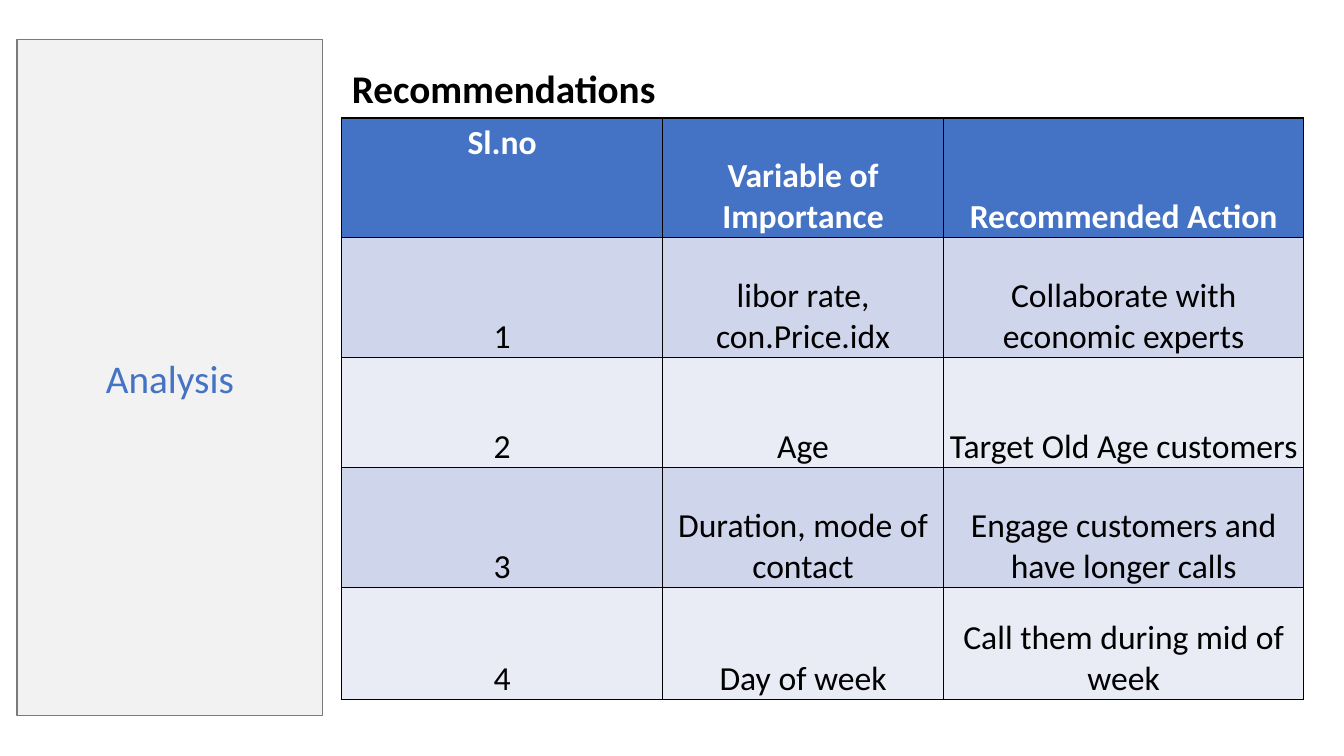
from lxml.etree import SubElement
from pptx import Presentation
from pptx.dml.color import RGBColor
from pptx.enum.shapes import MSO_SHAPE
from pptx.enum.text import MSO_ANCHOR, MSO_AUTO_SIZE, PP_ALIGN
from pptx.oxml.ns import qn
from pptx.util import Inches, Pt

COLORS = {
    "black": "000000",
    "white": "FFFFFF",
    "blue": "4472C4",
    "panel": "F2F2F2",
    "outline": "7A7A7A",
    "odd_row": "CFD5EA",
    "even_row": "E9EBF5",
}

RECOMMENDATIONS = [
    ["Sl.no", "Variable of Importance", "Recommended Action"],
    ["1", "libor rate, con.Price.idx", "Collaborate with economic experts"],
    ["2", "Age", "Target Old Age customers"],
    ["3", "Duration, mode of contact", "Engage customers and have longer calls"],
    ["4", "Day of week", "Call them during mid of week"],
]
COLUMN_WIDTHS = [3.18, 2.79, 3.57]
ROW_HEIGHTS = [1.19, 1.19, 1.09, 1.19, 1.11]


def color(name):
    return RGBColor.from_string(COLORS[name])


def assign(target, values):
    for name, value in values.items():
        setattr(target, name, value)


class SlideBuilder:
    font = "Calibri"
    heading_size = 28
    table_size = 24

    def __init__(self, deck):
        self.page = deck.slides.add_slide(deck.slide_layouts[5])

    def add_text(self, frame, text, size, ink, bold=False, align=PP_ALIGN.CENTER):
        para = frame.paragraphs[0]
        para.alignment = align
        span = para.add_run()
        span.text = text
        assign(span.font, {"name": self.font, "size": Pt(size), "bold": bold})
        span.font.color.rgb = color(ink)
        return para

    def title(self, text, left, top, width, height):
        box = self.page.shapes.title
        assign(box, {"left": Inches(left), "top": Inches(top),
                     "width": Inches(width), "height": Inches(height)})
        assign(box.text_frame, {"vertical_anchor": MSO_ANCHOR.MIDDLE,
                                "auto_size": MSO_AUTO_SIZE.NONE,
                                "word_wrap": True})
        para = self.add_text(box.text_frame, text, self.heading_size, "black",
                             True, PP_ALIGN.LEFT)
        para.line_spacing = 0.9

    def panel(self, text, left, top, width, height):
        box = self.page.shapes.add_shape(
            MSO_SHAPE.RECTANGLE, Inches(left), Inches(top),
            Inches(width), Inches(height))
        box.shadow.inherit = False
        box.fill.solid()
        box.fill.fore_color.rgb = color("panel")
        box.line.color.rgb = color("outline")
        box.line.width = Pt(1)
        assign(box.text_frame, {"vertical_anchor": MSO_ANCHOR.MIDDLE,
                                "word_wrap": True})
        self.add_text(box.text_frame, text, self.heading_size, "blue")

    def borders(self, cell):
        properties = cell._tc.get_or_add_tcPr()
        for position, side in enumerate(("lnL", "lnR", "lnT", "lnB")):
            line = SubElement(properties, qn(f"a:{side}"), w=str(Pt(1)))
            fill = SubElement(line, qn("a:solidFill"))
            SubElement(fill, qn("a:srgbClr"), val=COLORS["black"])
            properties.insert(position, line)

    def cell(self, cell, text, row, column):
        header = row == 0
        band = "blue" if header else "odd_row" if row % 2 else "even_row"
        cell.fill.solid()
        cell.fill.fore_color.rgb = color(band)
        if row or column:
            assign(cell, {"vertical_anchor": MSO_ANCHOR.BOTTOM,
                          "margin_left": 0, "margin_right": 0,
                          "margin_top": 0, "margin_bottom": 0})
        self.add_text(cell.text_frame, text, self.table_size,
                      "white" if header else "black", header)
        self.borders(cell)

    def table(self, rows, left, top, widths, heights):
        table = self.page.shapes.add_table(
            len(rows), len(widths), Inches(left), Inches(top),
            Inches(sum(widths)), Inches(sum(heights))).table
        for column, width in zip(table.columns, widths):
            column.width = Inches(width)
        for line, height in zip(table.rows, heights):
            line.height = Inches(height)
        for row, texts in enumerate(rows):
            for column, text in enumerate(texts):
                self.cell(table.cell(row, column), text, row, column)


def main():
    deck = Presentation()
    assign(deck, {"slide_width": Inches(13.33), "slide_height": Inches(7.5)})
    slide = SlideBuilder(deck)
    slide.panel("Analysis", 0.17, 0.39, 3.03, 6.71)
    slide.title("Recommendations", 3.39, 0.39, 9.73, 1.02)
    slide.table(RECOMMENDATIONS, 3.39, 1.17, COLUMN_WIDTHS, ROW_HEIGHTS)
    deck.save("out.pptx")


if __name__ == "__main__":
    main()
